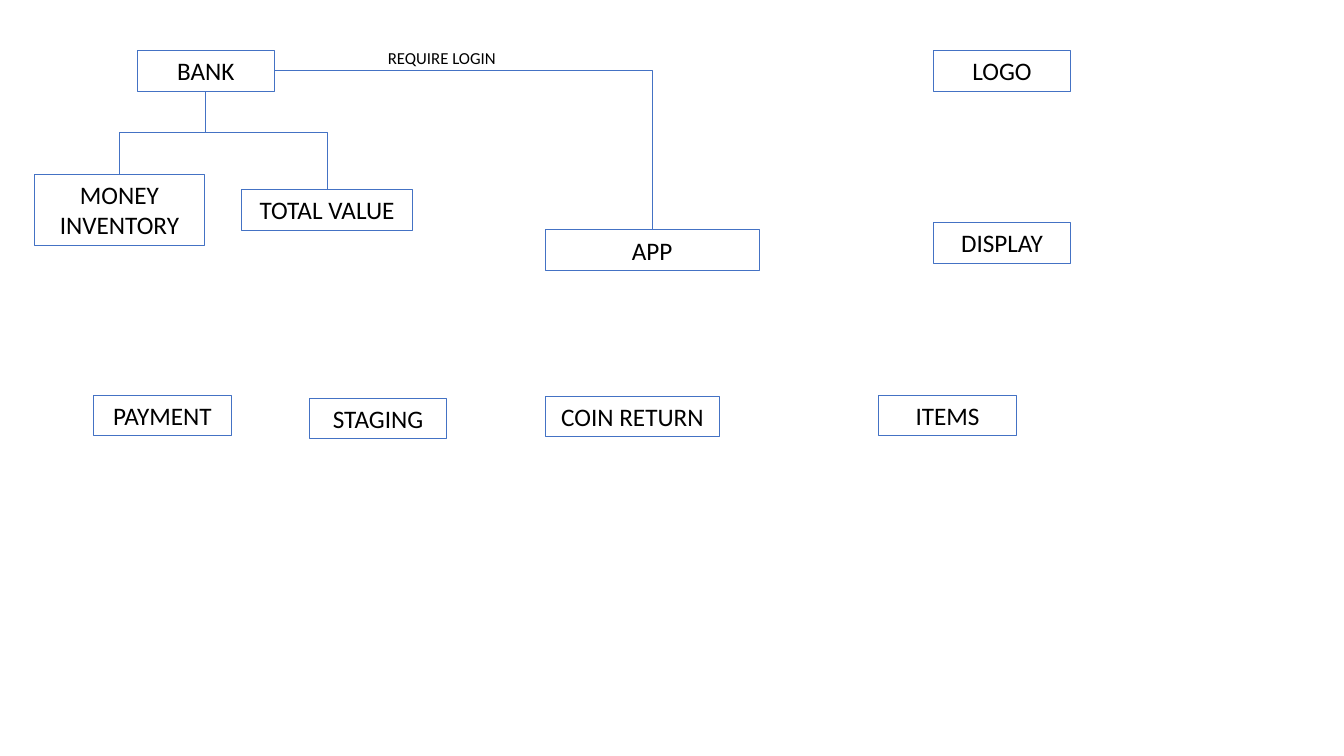
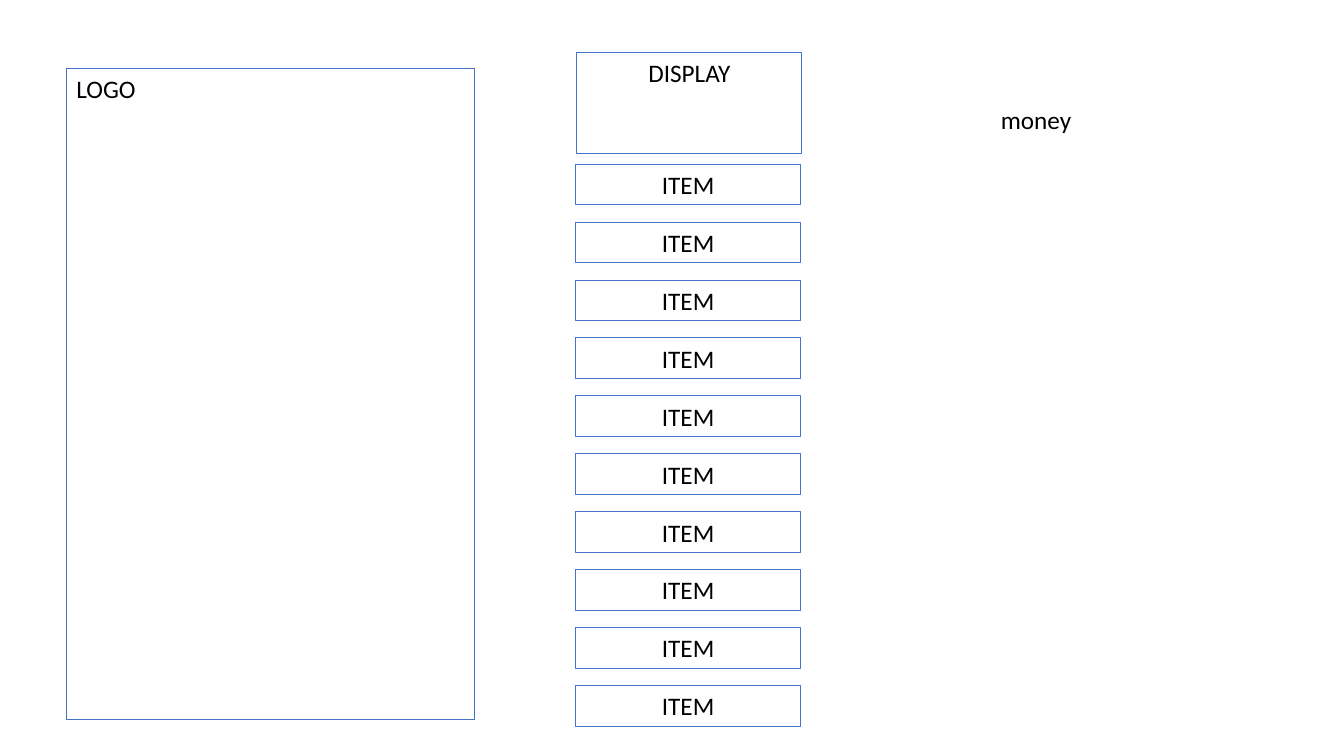
from lxml.etree import SubElement
from pptx import Presentation
from pptx.dml.color import RGBColor
from pptx.enum.shapes import MSO_CONNECTOR as Connector, MSO_SHAPE as Preset
from pptx.enum.text import MSO_ANCHOR as Anchor, PP_ALIGN as Align
from pptx.oxml.ns import qn
from pptx.util import Pt

TOP, LEFT, BOTTOM, RIGHT = range(4)


def color(hex_text):
    return RGBColor.from_string(hex_text)


class Deck:
    FONT = "Calibri"
    INK = "000000"
    OUTLINE = "4472C4"
    BOX_WIDTH = 98.2
    BOX_HEIGHT = 29.1

    def __init__(self):
        self.presentation = Presentation()
        self.presentation.slide_width = Pt(960)
        self.presentation.slide_height = Pt(540)
        self.slide = None

    def add_slide(self):
        blank_layout = self.presentation.slide_layouts[6]
        self.slide = self.presentation.slides.add_slide(blank_layout)

    def set_text(self, shape, text, size, align, wrap=True):
        frame = shape.text_frame
        frame.text = text
        frame.word_wrap = wrap
        frame.vertical_anchor = Anchor.TOP
        for paragraph in frame.paragraphs:
            paragraph.alignment = align
            for run in paragraph.runs:
                run.font.name = self.FONT
                run.font.size = Pt(size)
                run.font.color.rgb = color(self.INK)

    def box(self, text, left, top, width=BOX_WIDTH, height=BOX_HEIGHT, align=Align.CENTER):
        shape = self.slide.shapes.add_shape(
            Preset.RECTANGLE, Pt(left), Pt(top), Pt(width), Pt(height))
        shape.shadow.inherit = False
        shape.fill.background()
        shape.line.color.rgb = color(self.OUTLINE)
        shape.line.width = Pt(0.75)
        self.set_text(shape, text, 18, align)
        return shape

    def label(self, text, left, top, width, height, size=18, wrap=True):
        shape = self.slide.shapes.add_textbox(Pt(left), Pt(top), Pt(width), Pt(height))
        self.set_text(shape, text, size, Align.LEFT, wrap)

    def elbow(self, start, start_side, end, end_side, preset, rotation, flip=None, bend=None):
        connector = self.slide.shapes.add_connector(Connector.ELBOW, 0, 0, 0, 0)
        connector.begin_connect(start, start_side)
        connector.end_connect(end, end_side)
        connector.line.color.rgb = color(self.OUTLINE)
        connector.line.width = Pt(0.5)

        center_x = (connector.begin_x + connector.end_x) // 2
        center_y = (connector.begin_y + connector.end_y) // 2
        width, height = connector.height, connector.width
        connector.left, connector.top = center_x - width // 2, center_y - height // 2
        connector.width, connector.height = width, height

        properties = connector.element.spPr
        transform = properties.find(qn("a:xfrm"))
        for name in ("flipH", "flipV"):
            transform.attrib.pop(name, None)
        transform.set("rot", str(rotation * 60000))
        if flip:
            transform.set(flip, "1")
        geometry = properties.find(qn("a:prstGeom"))
        geometry.set("prst", preset)
        if bend is not None:
            SubElement(geometry.find(qn("a:avLst")), qn("a:gd"),
                       name="adj1", fmla=f"val {round(bend * 100000)}")
        SubElement(properties, qn("a:effectLst"))


def build_structure(deck):
    deck.add_slide()
    app = deck.box("APP", 389.5, 164.2, 152.8)
    bank = deck.box("BANK", 97.9, 36)
    inventory = deck.box("MONEY INVENTORY", 24.5, 124.6, 121.7, 50.9)
    total = deck.box("TOTAL VALUE", 172.8, 135.4, 121.7)
    deck.box("COIN RETURN", 389.5, 283, 124.6)
    for text, left, top in (
        ("LOGO", 666.7, 36),
        ("DISPLAY", 666.7, 159.1),
        ("ITEMS", 627.8, 282.2),
        ("PAYMENT", 67, 282.2),
        ("STAGING", 221, 284.4),
    ):
        deck.box(text, left, top)

    deck.elbow(app, TOP, bank, RIGHT, "bentConnector2", 270, "flipV")
    deck.elbow(bank, BOTTOM, inventory, TOP, "bentConnector3", 90)
    deck.elbow(bank, BOTTOM, total, TOP, "bentConnector3", 270, "flipH", 0.42)
    deck.label("REQUIRE LOGIN", 270, 30.2, 92.9, 21.8, size=12, wrap=False)


def build_layout(deck):
    deck.add_slide()
    deck.box("DISPLAY", 412, 37.2, 160.8, 72.7)
    for row in range(10):
        deck.box("ITEM", 411.1, 117.2 + row * 41.4, 160.8)
    deck.label("money", 707.8, 70.6, 240, deck.BOX_HEIGHT)
    deck.box("LOGO", 47.5, 49, 291.6, 465.1, Align.LEFT)


def main():
    deck = Deck()
    build_structure(deck)
    build_layout(deck)
    deck.presentation.save("out.pptx")


if __name__ == "__main__":
    main()
